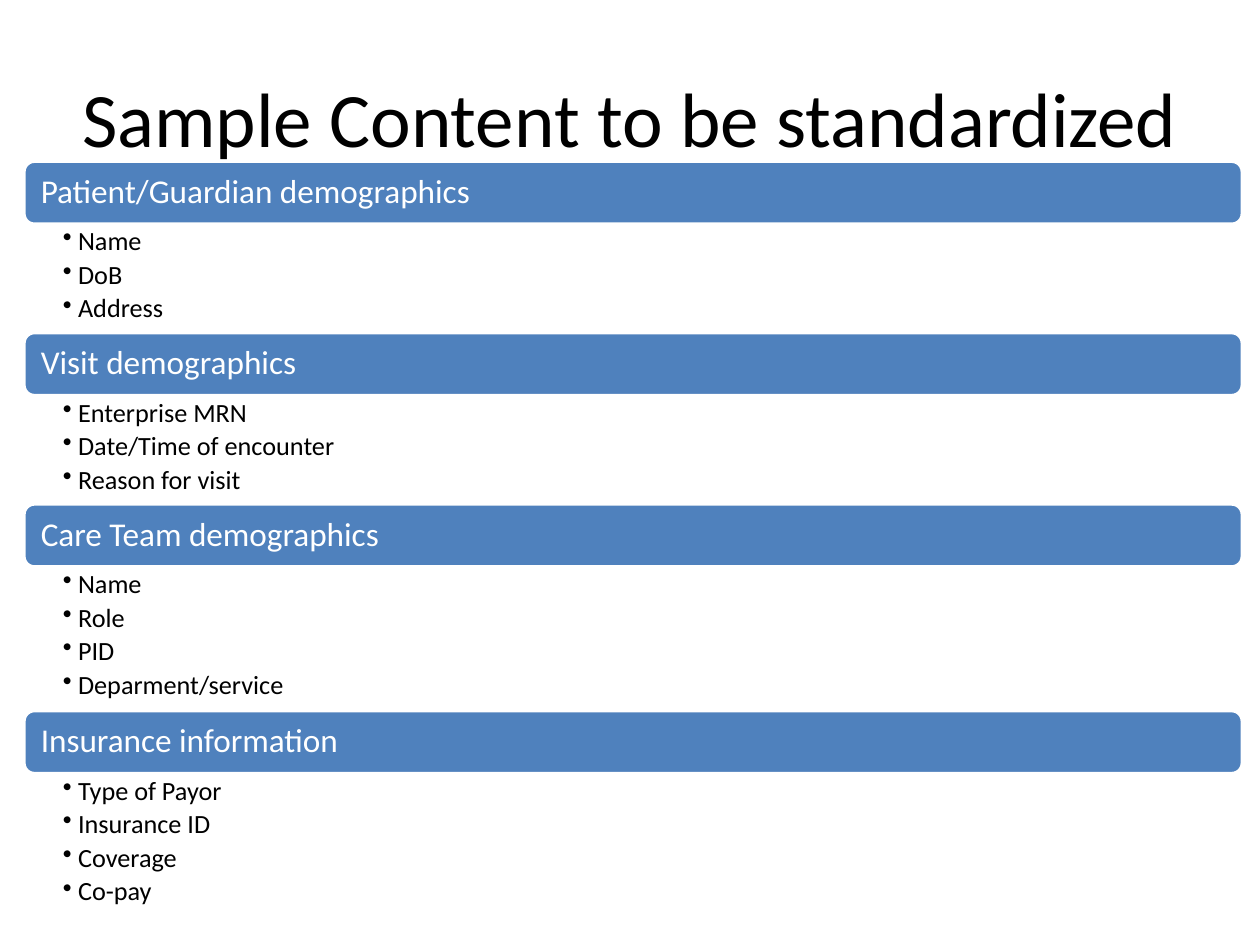
"""Build a slide listing the sample content to be standardized."""
from dataclasses import dataclass

from lxml import etree
from pptx import Presentation
from pptx.dml.color import RGBColor
from pptx.enum.shapes import MSO_SHAPE
from pptx.enum.text import MSO_ANCHOR, PP_ALIGN
from pptx.oxml.ns import qn
from pptx.slide import Slide
from pptx.text.text import TextFrame
from pptx.util import Pt

ROUNDED = MSO_SHAPE.ROUNDED_RECTANGLE
TOP, MIDDLE = MSO_ANCHOR.TOP, MSO_ANCHOR.MIDDLE
LEFT, CENTER = PP_ALIGN.LEFT, PP_ALIGN.CENTER

COLORS = {"bar": "4F81BD", "light": "FFFFFF", "dark": "000000"}
FONT = "Calibri"
LIST_LEFT, LIST_TOP, LIST_WIDTH = 13.68, 92.16, 696.24
BAR_HEIGHT = 36
ITEM_HEIGHT, ITEM_PADDING = 20.16, 1.44
BULLET_INDENT = 8.64


@dataclass(frozen=True)
class Section:
    heading: str
    items: tuple[str, ...]

    @property
    def body_height(self) -> float:
        return len(self.items) * ITEM_HEIGHT + ITEM_PADDING


@dataclass(frozen=True)
class TextStyle:
    size: float
    color: str
    anchor: MSO_ANCHOR
    margins: tuple[float, float, float, float]
    paragraph: dict
    bulleted: bool = False


TITLE_STYLE = TextStyle(44, "dark", MIDDLE, (7.2, 3.6, 7.2, 3.6), {"alignment": CENTER})
HEADING_STYLE = TextStyle(
    19, "light", MIDDLE, (7.92, 7.92, 7.92, 7.92), {"alignment": LEFT, "line_spacing": 0.9}
)
ITEM_STYLE = TextStyle(
    15, "dark", TOP, (22.32, 2.16, 11.16, 2.16),
    {"alignment": LEFT, "line_spacing": 0.9, "space_after": Pt(3), "level": 1},
    bulleted=True,
)

SECTIONS = (
    Section("Patient/Guardian demographics", ("Name", "DoB", "Address")),
    Section("Visit demographics", ("Enterprise MRN", "Date/Time of encounter", "Reason for visit")),
    Section("Care Team demographics", ("Name", "Role", "PID", "Deparment/service")),
    Section("Insurance information", ("Type of Payor", "Insurance ID", "Coverage", "Co-pay")),
)


def write_text(frame: TextFrame, lines: tuple[str, ...], style: TextStyle) -> None:
    """Fill a text frame with one styled paragraph per line."""
    frame.word_wrap = True
    frame.vertical_anchor = style.anchor
    for side, margin in zip(("left", "top", "right", "bottom"), style.margins):
        setattr(frame, f"margin_{side}", Pt(margin))
    for index, line in enumerate(lines):
        paragraph = frame.add_paragraph() if index else frame.paragraphs[0]
        for name, value in style.paragraph.items():
            setattr(paragraph, name, value)
        run = paragraph.add_run()
        run.text = line
        for name, value in {"name": FONT, "size": Pt(style.size)}.items():
            setattr(run.font, name, value)
        run.font.color.rgb = RGBColor.from_string(COLORS[style.color])
        if style.bulleted:
            properties = paragraph._p.get_or_add_pPr()
            properties.set("marL", str(Pt(BULLET_INDENT)))
            properties.set("indent", str(-Pt(BULLET_INDENT)))
            etree.SubElement(properties, qn("a:buChar"), char="•")


def add_text(slide: Slide, box: tuple[float, ...], lines: tuple[str, ...], style: TextStyle) -> None:
    """Add a text box at the given left, top, width and height."""
    shape = slide.shapes.add_textbox(*map(Pt, box))
    write_text(shape.text_frame, lines, style)


def add_section(slide: Slide, section: Section, top: float) -> float:
    """Draw a heading bar with its bullets and return the bottom edge."""
    bar = slide.shapes.add_shape(ROUNDED, *map(Pt, (LIST_LEFT, top, LIST_WIDTH, BAR_HEIGHT)))
    bar.shadow.inherit = False
    bar.fill.solid()
    bar.fill.fore_color.rgb = RGBColor.from_string(COLORS["bar"])
    bar.line.color.rgb = RGBColor.from_string(COLORS["light"])
    bar.line.width = Pt(2)
    write_text(bar.text_frame, (section.heading,), HEADING_STYLE)
    body_top = top + BAR_HEIGHT
    add_text(slide, (LIST_LEFT, body_top, LIST_WIDTH, section.body_height), section.items, ITEM_STYLE)
    return body_top + section.body_height


def main() -> None:
    """Create and save the presentation."""
    presentation = Presentation()
    presentation.slide_width, presentation.slide_height = Pt(720), Pt(540)
    slide = presentation.slides.add_slide(presentation.slide_layouts[6])
    add_text(slide, (36, 21.6, 648, 90), ("Sample Content to be standardized",), TITLE_STYLE)
    top = LIST_TOP
    for section in SECTIONS:
        top = add_section(slide, section, top)
    presentation.save("out.pptx")


if __name__ == "__main__":
    main()
